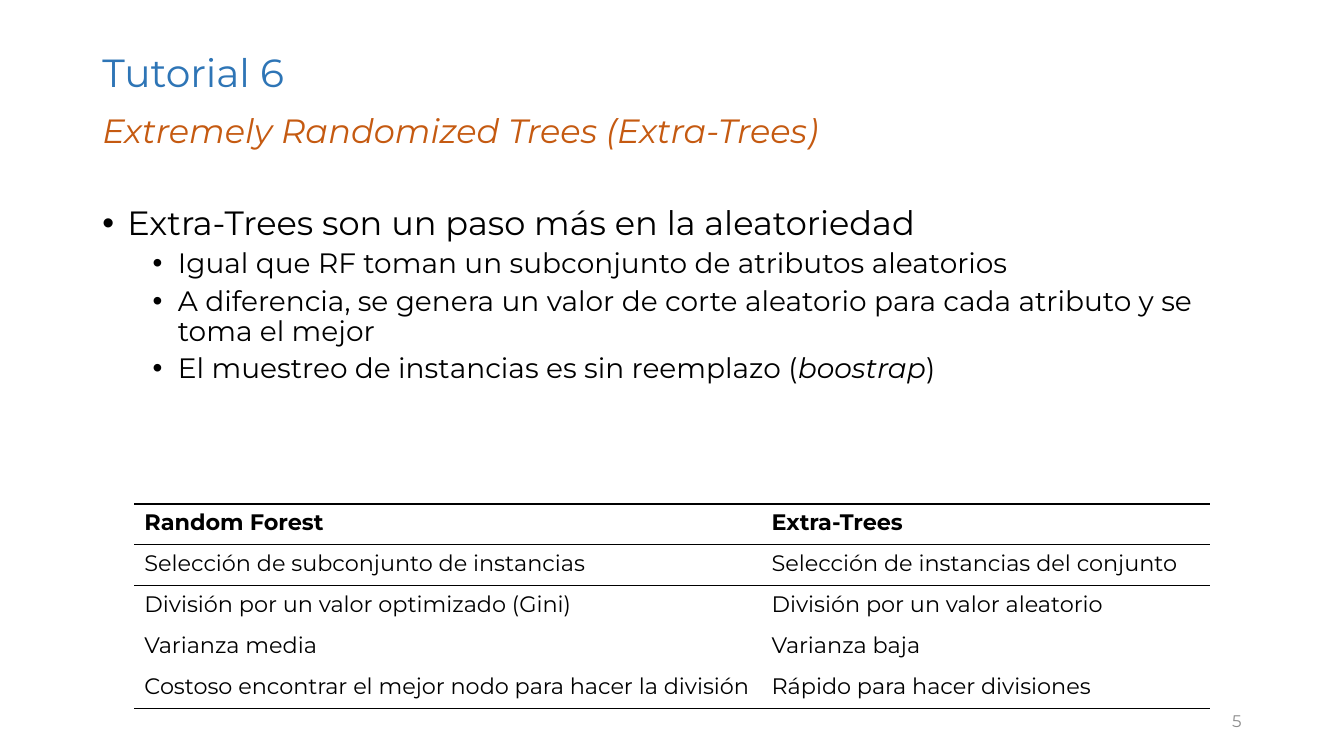
from lxml import etree
from pptx import Presentation
from pptx.dml.color import RGBColor
from pptx.enum.text import MSO_ANCHOR, MSO_AUTO_SIZE, PP_ALIGN
from pptx.oxml.ns import qn
from pptx.util import Pt

LEFT, RIGHT = PP_ALIGN.LEFT, PP_ALIGN.RIGHT
TOP, MIDDLE = MSO_ANCHOR.TOP, MSO_ANCHOR.MIDDLE
FIXED = MSO_AUTO_SIZE.NONE

BLACK = RGBColor(0, 0, 0)
BLUE = RGBColor(0x2E, 0x75, 0xB6)
RUST = RGBColor(0xC5, 0x5A, 0x11)
GRAY = RGBColor(0x8C, 0x8C, 0x8C)

FONT = "Montserrat"
PLAIN = "{2D5ABB26-0587-4C30-8999-92F81FD0307C}"
HEAD = {"size": Pt(28)}
SUB = {"size": Pt(24), "italic": True}
MAIN = {"size": Pt(24)}
ITEM = {"size": Pt(20)}
CELL = {"size": Pt(16)}
NOTE = {"size": Pt(12)}

POINTS = [
    (0, ["Extra-Trees son un paso más en la aleatoriedad"]),
    (1, ["Igual que RF toman un subconjunto de atributos aleatorios"]),
    (1, ["A diferencia, se genera un valor de corte aleatorio para cada atributo y se toma el mejor"]),
    (1, ["El muestreo de instancias es sin reemplazo (", "boostrap", ")"]),
]
ROWS = [
    ("Random Forest", "Extra-Trees"),
    ("Selección de subconjunto de instancias", "Selección de instancias del conjunto"),
    ("División por un valor optimizado (Gini)", "División por un valor aleatorio"),
    ("Varianza media", "Varianza baja"),
    ("Costoso encontrar el mejor nodo para hacer la división", "Rápido para hacer divisiones"),
]


def apply(item, values):
    for name, value in values.items():
        setattr(item, name, value)


def write(para, text, color, style):
    run = para.add_run()
    run.text = text
    apply(run.font, {"name": FONT, **style})
    run.font.color.rgb = color


def place(shape, box):
    names = ("left", "top", "width", "height")
    apply(shape, dict(zip(names, map(Pt, box))))


def frame(slide, box, anchor):
    shape = slide.shapes.add_textbox(*map(Pt, box))
    apply(shape.text_frame, {"word_wrap": True, "vertical_anchor": anchor})
    return shape.text_frame


def add_title(slide, box):
    title = slide.shapes.title
    place(title, box)
    apply(title.text_frame, {"vertical_anchor": MIDDLE, "auto_size": FIXED})
    para = title.text_frame.paragraphs[0]
    apply(para, {"alignment": LEFT, "line_spacing": 0.9})
    write(para, "Tutorial 6", BLUE, HEAD)


def add_subtitle(slide, box):
    para = frame(slide, box, TOP).paragraphs[0]
    apply(para, {"line_spacing": 0.9, "space_before": Pt(10)})
    write(para, "Extremely Randomized Trees (Extra-Trees)", RUST, SUB)


def add_bullet(para, level):
    props = para._p.get_or_add_pPr()
    props.set("marL", str(Pt(18 + 36 * level)))
    props.set("indent", str(Pt(-18)))
    etree.SubElement(props, qn("a:buFont")).set("typeface", "Arial")
    etree.SubElement(props, qn("a:buChar")).set("char", "•")


def add_points(slide, box):
    body = frame(slide, box, TOP)
    for index, (level, parts) in enumerate(POINTS):
        para = body.add_paragraph() if index else body.paragraphs[0]
        gap = Pt(5 if level else 10)
        apply(para, {"level": level, "line_spacing": 0.9, "space_before": gap})
        add_bullet(para, level)
        for order, text in enumerate(parts):
            style = ITEM if level else MAIN
            write(para, text, BLACK, {**style, "italic": order == 1})


def add_border(cell, side):
    line = etree.SubElement(cell._tc.get_or_add_tcPr(), qn("a:" + side), w=str(Pt(1)))
    fill = etree.SubElement(line, qn("a:solidFill"))
    etree.SubElement(fill, qn("a:srgbClr")).set("val", str(BLACK))


def add_grid(slide, box):
    table = slide.shapes.add_table(len(ROWS), 2, *map(Pt, box)).table
    apply(table, {"first_row": False, "horz_banding": False})
    table._tbl.tblPr.find(qn("a:tableStyleId")).text = PLAIN
    for column, width in zip(table.columns, (448, 320)):
        column.width = Pt(width)
    last = len(ROWS) - 1
    for r, texts in enumerate(ROWS):
        table.rows[r].height = Pt(box[3] / len(ROWS))
        for c, text in enumerate(texts):
            cell = table.cell(r, c)
            write(cell.text_frame.paragraphs[0], text, BLACK, {**CELL, "bold": r == 0})
            if r in (0, 1):
                add_border(cell, "lnT")
            if r in (0, last):
                add_border(cell, "lnB")
            cell.fill.background()


def add_number(slide, box):
    para = frame(slide, box, MIDDLE).paragraphs[0]
    para.alignment = RIGHT
    write(para, "5", GRAY, NOTE)


def main():
    deck = Presentation()
    apply(deck, {"slide_width": Pt(960), "slide_height": Pt(540)})
    slide = deck.slides.add_slide(deck.slide_layouts[5])
    add_title(slide, (66, 28.8, 828, 49.7))
    add_points(slide, (66, 144, 828, 342.7))
    add_number(slide, (678, 500.5, 216, 28.8))
    add_subtitle(slide, (66, 78.5, 828, 64.8))
    add_grid(slide, (96, 360, 768, 146))
    deck.save("out.pptx")


if __name__ == "__main__":
    main()
